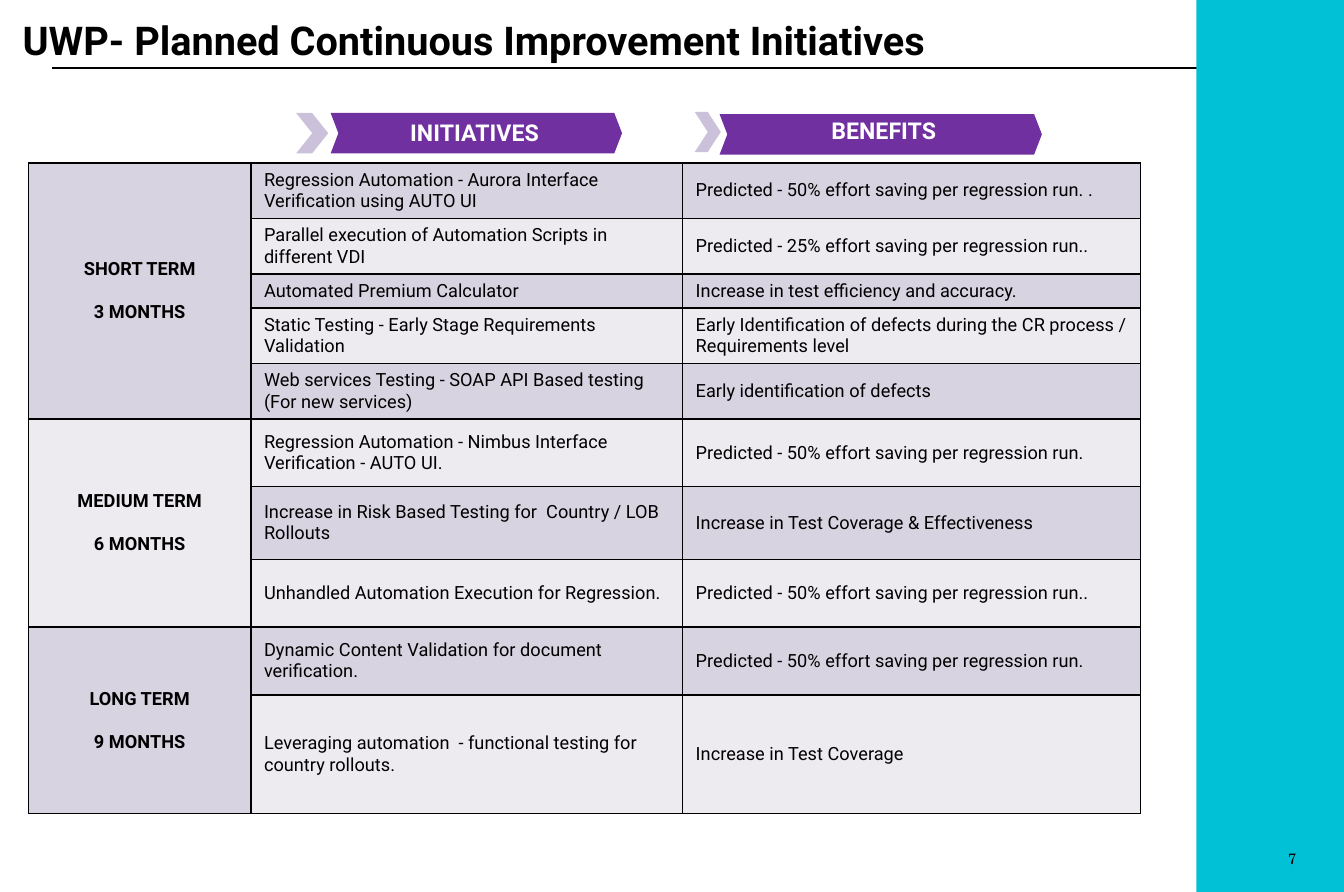
"""Builds the slide on planned continuous improvement initiatives."""
from lxml import etree
from pptx import Presentation
from pptx import util as u
from pptx.dml.color import RGBColor
from pptx.enum import shapes, text
from pptx.oxml.ns import qn

TITLE = "UWP- Planned Continuous Improvement Initiatives"
TERMS = [
    ("SHORT TERM", "3 MONTHS", [
        ("Regression Automation - Aurora Interface Verification using AUTO UI",
         "Predicted - 50% effort saving per regression run. .", 0.45),
        ("Parallel execution of Automation Scripts in different VDI",
         "Predicted - 25% effort saving per regression run..", 0.45),
        ("Automated Premium Calculator",
         "Increase in test efficiency and accuracy.", 0.28),
        ("Static Testing - Early Stage Requirements Validation",
         "Early Identification of defects during the CR process / Requirements level", 0.45),
        ("Web services Testing - SOAP API Based testing (For new services)",
         "Early identification of defects", 0.45),
    ]),
    ("MEDIUM TERM", "6 MONTHS", [
        ("Regression Automation - Nimbus Interface Verification - AUTO UI.",
         "Predicted - 50% effort saving per regression run.", 0.57),
        ("Increase in Risk Based Testing for  Country / LOB Rollouts",
         "Increase in Test Coverage & Effectiveness", 0.61),
        ("Unhandled Automation Execution for Regression.",
         "Predicted - 50% effort saving per regression run..", 0.57),
    ]),
    ("LONG TERM", "9 MONTHS", [
        ("Dynamic Content Validation for document verification.",
         "Predicted - 50% effort saving per regression run.", 0.57),
        ("Leveraging automation  - functional testing for country rollouts.",
         "Increase in Test Coverage", 1),
    ]),
]
COLUMNS = (1.87, 3.63, 3.85)
HEADER_HEIGHT = 0.3
TABLE_LEFT, TABLE_TOP = 0.24, 1.07
BANDS = ("D8D3E0", "EDEAF0")
CHEVRONS = [
    ((2.49, 0.95, 0.27, 0.34), 0.502, "CCC1DA"),
    ((2.78, 0.95, 2.45, 0.34), 0.191, "7030A0"),
    ((5.84, 0.94, 0.22, 0.34), 0.502, "CCC1DA"),
    ((6.05, 0.96, 2.71, 0.34), 0.191, "7030A0"),
]
HEADINGS = [
    ("INITIATIVES", (2.83, 0.95, 2.32, 0.34)),
    ("BENEFITS", (6.27, 0.93, 2.32, 0.34)),
]
BLACK, WHITE, TEAL = "000000", "FFFFFF", "01C1D6"
ALIGN = text.PP_ALIGN


def paint(fill, color):
    fill.solid()
    fill.fore_color.rgb = RGBColor.from_string(color)


def write(frame, lines, size, color=BLACK, bold=False, align=ALIGN.LEFT, font="Roboto", gap=0):
    for index, line in enumerate(lines):
        para = frame.add_paragraph() if index else frame.paragraphs[0]
        para.alignment = align
        if index:
            para.space_before = u.Pt(gap)
        span = para.add_run()
        span.text = line
        span.font.size, span.font.bold, span.font.name = u.Pt(size), bold, font
        span.font.color.rgb = RGBColor.from_string(color)


def add_shape(page, kind, place, color):
    shape = page.shapes.add_shape(kind, *map(u.Inches, place))
    shape.shadow.inherit = False
    paint(shape.fill, color)
    shape.line.fill.background()
    return shape


def clear_margins(holder):
    holder.margin_left = holder.margin_right = 0
    holder.margin_top = holder.margin_bottom = 0


def add_text(page, place, line, size, color, align, inset=True):
    box = page.shapes.add_textbox(*map(u.Inches, place))
    box.text_frame.word_wrap = True
    if not inset:
        clear_margins(box.text_frame)
    write(box.text_frame, [line], size, color, True, align)


def set_borders(cell, colors):
    properties = cell._tc.get_or_add_tcPr()
    for index, (side, color) in enumerate(zip(("lnL", "lnR", "lnT", "lnB"), colors)):
        line = etree.Element(qn("a:" + side), w=str(u.Pt(1)))
        solid = etree.SubElement(line, qn("a:solidFill"))
        etree.SubElement(solid, qn("a:srgbClr"), val=color)
        properties.insert(index, line)


def fill_cell(cell, lines, color, **style):
    paint(cell.fill, color)
    cell.vertical_anchor = text.MSO_ANCHOR.MIDDLE
    cell.margin_left = cell.margin_right = u.Inches(0.11)
    cell.margin_top = cell.margin_bottom = u.Inches(0.05)
    write(cell.text_frame, lines, 11, **style)


def add_plan(page):
    heights = [HEADER_HEIGHT] + [item[2] for term in TERMS for item in term[2]]
    frame = page.shapes.add_table(
        len(heights), len(COLUMNS),
        *map(u.Inches, (TABLE_LEFT, TABLE_TOP, sum(COLUMNS), sum(heights))))
    table = frame.table
    table.first_row = table.horz_banding = False
    for column, width in zip(table.columns, COLUMNS):
        column.width = u.Inches(width)
    for row, height in zip(table.rows, heights):
        row.height = u.Inches(height)
    for cell in table.rows[0].cells:
        cell.fill.background()
        clear_margins(cell)
        etree.SubElement(cell.text_frame.paragraphs[0]._p, qn("a:endParaRPr"), sz="1100")
        set_borders(cell, (WHITE, WHITE, WHITE, BLACK))
    start = 1
    for term, period, items in TERMS:
        for number, (initiative, benefit, _) in enumerate(items, start):
            band = BANDS[(number - 1) % 2]
            fill_cell(table.cell(number, 1), [initiative], band)
            fill_cell(table.cell(number, 2), [benefit], band)
            for cell in table.rows[number].cells:
                set_borders(cell, [BLACK] * 4)
        first = table.cell(start, 0)
        first.merge(table.cell(start + len(items) - 1, 0))
        fill_cell(first, [term, period], BANDS[(start - 1) % 2],
                  bold=True, align=ALIGN.CENTER, gap=13)
        start += len(items)


def main():
    deck = Presentation()
    deck.slide_width, deck.slide_height = u.Inches(11.3), u.Inches(7.5)
    page = deck.slides.add_slide(deck.slide_layouts[6])

    rule = page.shapes.add_connector(
        shapes.MSO_CONNECTOR.STRAIGHT, *map(u.Inches, (0.44, 0.57, 10.86, 0.57)))
    rule.line.width = u.Pt(1)
    paint(rule.line.fill, BLACK)
    etree.SubElement(rule._element.spPr, qn("a:effectLst"))

    rectangle = shapes.MSO_SHAPE.RECTANGLE
    add_shape(page, rectangle, (10.06, 0, 1.25, 7.5), TEAL)
    number = add_shape(page, rectangle, (10.3, 7.12, 0.6, 0.2), TEAL).text_frame
    clear_margins(number)
    number.vertical_anchor = text.MSO_ANCHOR.MIDDLE
    write(number, ["7"], 9, align=ALIGN.RIGHT, font="TeX Gyre Schola")

    add_text(page, (0.19, 0.13, 8.09, 0.4), TITLE, 24, BLACK, ALIGN.LEFT, inset=False)
    add_plan(page)
    for place, depth, color in CHEVRONS:
        chevron = add_shape(page, shapes.MSO_SHAPE.CHEVRON, place, color)
        chevron.adjustments[0] = depth
    for heading, place in HEADINGS:
        add_text(page, place, heading, 14, WHITE, ALIGN.CENTER)
    deck.save("out.pptx")


if __name__ == "__main__":
    main()
